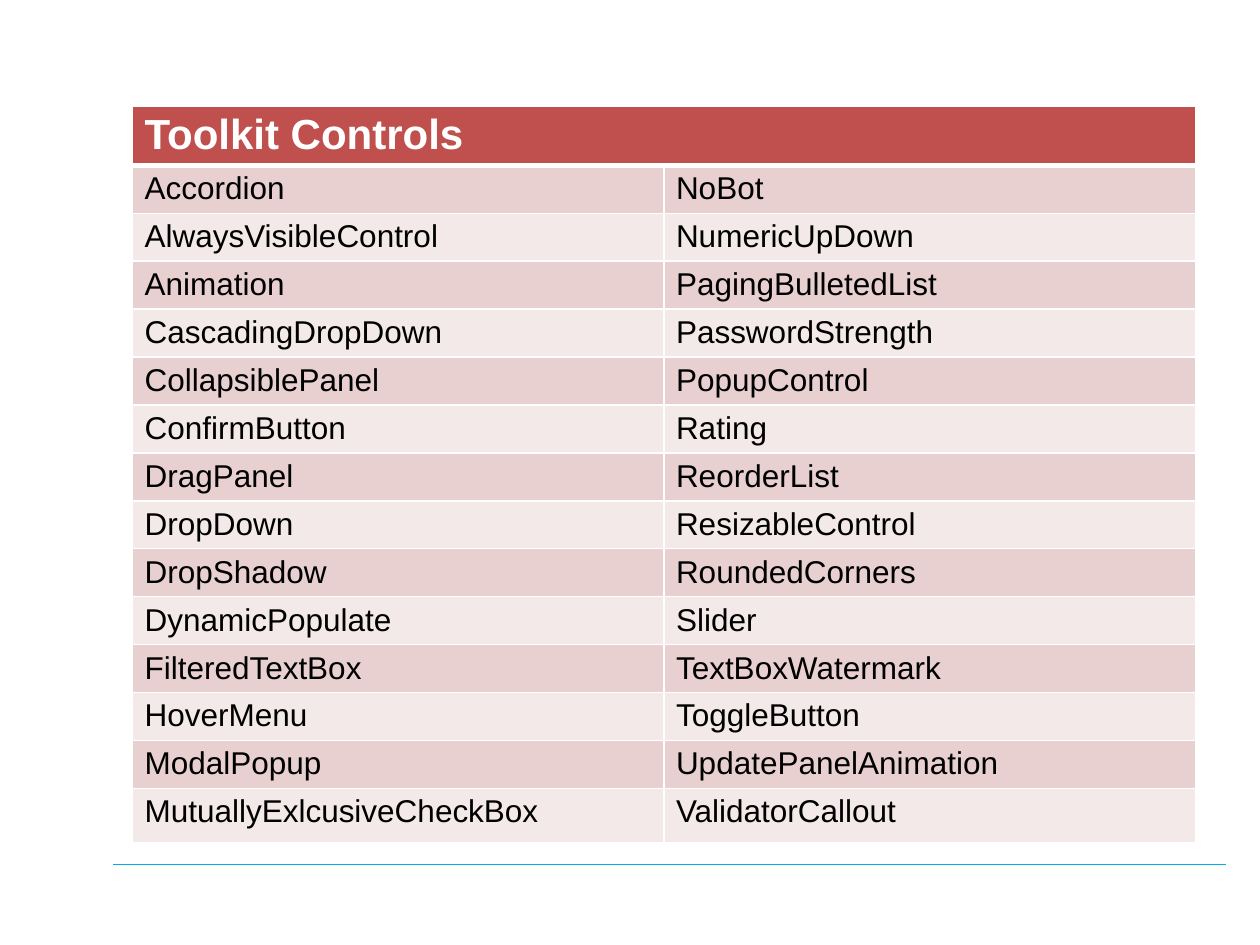
import pptx
import pptx.dml.color
import pptx.enum.shapes
import pptx.enum.text
import pptx.oxml
import pptx.oxml.ns
import pptx.util
from lxml import etree

Pt = pptx.util.Pt
RGBColor = pptx.dml.color.RGBColor

WHITE = RGBColor(0xFF, 0xFF, 0xFF)
BLACK = RGBColor(0x00, 0x00, 0x00)
RED = RGBColor(0xC0, 0x50, 0x4D)
BANDS = (RGBColor(0xE8, 0xD0, 0xD0), RGBColor(0xF4, 0xE9, 0xE9))
CYAN = RGBColor(0x00, 0xAE, 0xEF)

HEADING = "Toolkit Controls"
CONTROLS = [
    ("Accordion", "NoBot"),
    ("AlwaysVisibleControl", "NumericUpDown"),
    ("Animation", "PagingBulletedList"),
    ("CascadingDropDown", "PasswordStrength"),
    ("CollapsiblePanel", "PopupControl"),
    ("ConfirmButton", "Rating"),
    ("DragPanel", "ReorderList"),
    ("DropDown", "ResizableControl"),
    ("DropShadow", "RoundedCorners"),
    ("DynamicPopulate", "Slider"),
    ("FilteredTextBox", "TextBoxWatermark"),
    ("HoverMenu", "ToggleButton"),
    ("ModalPopup", "UpdatePanelAnimation"),
    ("MutuallyExlcusiveCheckBox", "ValidatorCallout"),
]
HEADER_HEIGHT, ROW_HEIGHT, LAST_HEIGHT = 34, 27.4, 30.9


def set_borders(cell, top, bottom):
    """Draw white cell borders; the side borders are 1 pt wide."""
    properties = cell._tc.get_or_add_tcPr()
    for side, width in (("L", 1), ("R", 1), ("T", top), ("B", bottom)):
        properties.append(pptx.oxml.parse_xml(
            f'<a:ln{side} {pptx.oxml.ns.nsdecls("a")} w="{Pt(width)}">'
            f'<a:solidFill><a:srgbClr val="{WHITE}"/></a:solidFill></a:ln{side}>'))


def format_cell(cell, fill, size, color, bold=False, top=1, bottom=1):
    cell.margin_left = cell.margin_right = Pt(6.85)
    cell.margin_top = cell.margin_bottom = Pt(3.4)
    cell.vertical_anchor = pptx.enum.text.MSO_ANCHOR.TOP
    set_borders(cell, top, bottom)
    cell.fill.solid()
    cell.fill.fore_color.rgb = fill
    font = cell.text_frame.paragraphs[0].font
    font.name, font.size, font.bold = "Arial", Pt(size), bold
    font.color.rgb = color


def add_controls_table(slide, left, top, width):
    heights = [HEADER_HEIGHT] + [ROW_HEIGHT] * (len(CONTROLS) - 1) + [LAST_HEIGHT]
    table = slide.shapes.add_table(
        len(heights), 2, Pt(left), Pt(top), Pt(width), Pt(sum(heights))).table
    for row, height in zip(table.rows, heights):
        row.height = Pt(height)

    # Heading across both columns
    heading = table.cell(0, 0)
    heading.merge(table.cell(0, 1))
    heading.text_frame.text = HEADING
    for column in range(2):
        format_cell(table.cell(0, column), RED, 24, WHITE, bold=True, bottom=3)

    # Banded control names
    for index, names in enumerate(CONTROLS):
        for column, name in enumerate(names):
            cell = table.cell(index + 1, column)
            cell.text_frame.text = name
            format_cell(cell, BANDS[index % 2], 18, BLACK,
                        top=3 if index == 0 else 1)


def add_footer_rule(slide, left, top, width):
    rule = slide.shapes.add_connector(
        pptx.enum.shapes.MSO_CONNECTOR.STRAIGHT,
        Pt(left), Pt(top), Pt(left + width), Pt(top))
    rule.line.color.rgb = CYAN
    rule.line.width = Pt(0.75)
    etree.SubElement(rule._element.spPr, pptx.oxml.ns.qn("a:effectLst"))


def main():
    presentation = pptx.Presentation()
    presentation.slide_width, presentation.slide_height = Pt(720), Pt(540)
    slide = presentation.slides.add_slide(presentation.slide_layouts[6])
    add_footer_rule(slide, 64.8, 493.9, 635.8)
    add_controls_table(slide, 75.8, 60.5, 607.4)
    presentation.save("out.pptx")


if __name__ == "__main__":
    main()
